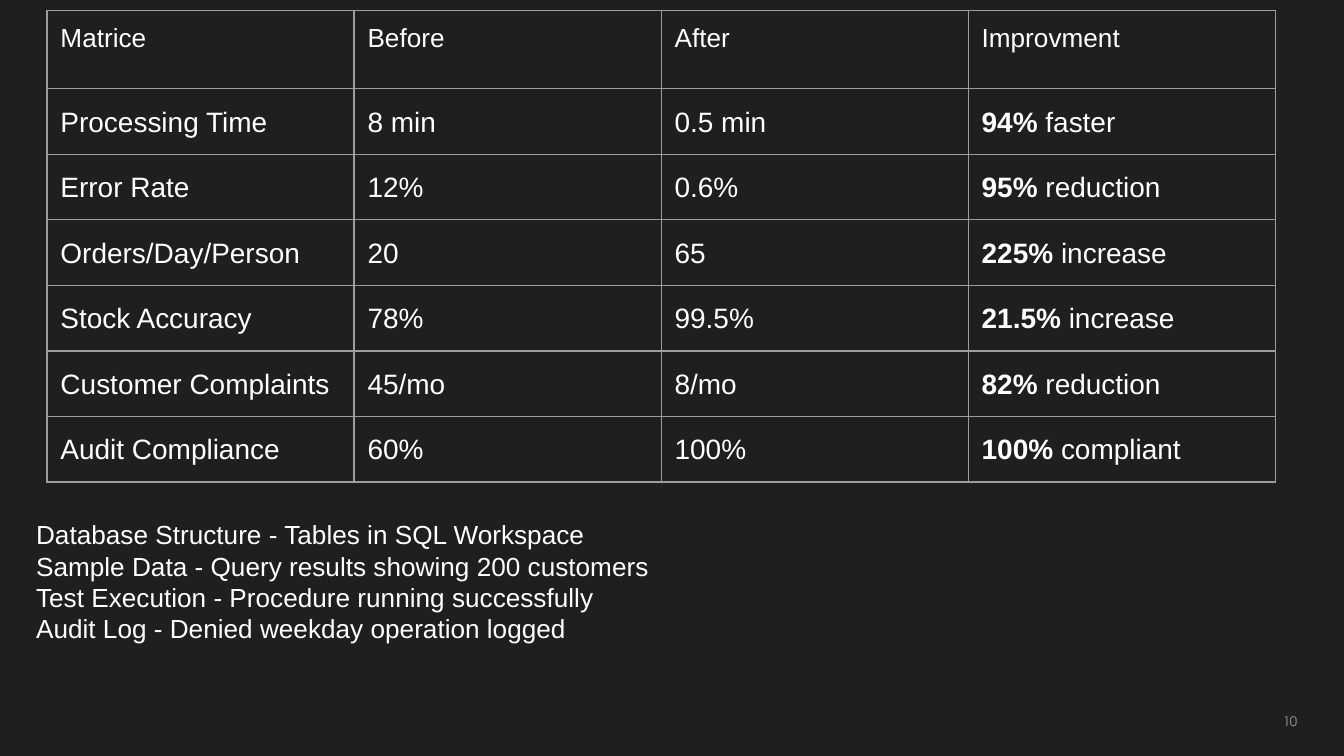
from lxml.etree import SubElement
from pptx import Presentation
from pptx.dml.color import RGBColor
from pptx.enum.text import PP_ALIGN
from pptx.oxml.ns import qn
from pptx.util import Inches, Pt


def style(paragraph, size, color="FFFFFF", name="Arial"):
    paragraph.font.size = Pt(size)
    paragraph.font.name = name
    paragraph.font.color.rgb = RGBColor.from_string(color)


def add_text(left, top, width, height, lines):
    box = slide.shapes.add_textbox(Inches(left), Inches(top), Inches(width), Inches(height))
    frame = box.text_frame
    frame.word_wrap = True
    frame.margin_left = frame.margin_right = Inches(0.1)
    frame.margin_top = frame.margin_bottom = Inches(0.1)
    frame.text = "\n".join(lines)
    return frame.paragraphs


presentation = Presentation()
presentation.slide_width = Inches(10)
presentation.slide_height = Inches(10 * 9 / 16)
slide = presentation.slides.add_slide(presentation.slide_layouts[6])
slide.background.fill.solid()
slide.background.fill.fore_color.rgb = RGBColor.from_string("1F1F1F")

page_number = add_text(7.35, 5.25, 2.4, 0.32, ["10"])[0]
page_number.alignment = PP_ALIGN.RIGHT
style(page_number, 7, "93A2A2", "TeX Gyre Adventor")

metrics = [
    ("Matrice", "Before", "After", "Improvment"),
    ("Processing Time", "8 min", "0.5 min", "94% faster"),
    ("Error Rate", "12%", "0.6%", "95% reduction"),
    ("Orders/Day/Person", "20", "65", "225% increase"),
    ("Stock Accuracy", "78%", "99.5%", "21.5% increase"),
    ("Customer Complaints", "45/mo", "8/mo", "82% reduction"),
    ("Audit Compliance", "60%", "100%", "100% compliant"),
]
table_width, header_height, row_height = 9.14, 0.58, 0.43
row_count, column_count = len(metrics), len(metrics[0])
table = slide.shapes.add_table(
    row_count, column_count, Inches(0.35), Inches(0.08),
    Inches(table_width), Inches(header_height + row_height * (row_count - 1)),
).table
table.first_row = False
table.horz_banding = False
for column in table.columns:
    column.width = Inches(table_width / column_count)

for row_index, values in enumerate(metrics):
    is_header = row_index == 0
    table.rows[row_index].height = Inches(header_height if is_header else row_height)
    for column_index, value in enumerate(values):
        cell = table.cell(row_index, column_index)
        cell.margin_left = cell.margin_right = Inches(0.1)
        cell.margin_top = cell.margin_bottom = Inches(0.1)
        paragraph = cell.text_frame.paragraphs[0]
        style(paragraph, 14 if is_header else 15)
        if not is_header:
            paragraph.line_spacing = 1.15
        if column_index == column_count - 1 and not is_header:
            figure, outcome = value.split()
            figure_run = paragraph.add_run()
            figure_run.text = figure + " "
            figure_run.font.bold = True
            paragraph.add_run().text = outcome
        else:
            paragraph.add_run().text = value
        properties = cell._tc.get_or_add_tcPr()
        for side in ("a:lnL", "a:lnR", "a:lnT", "a:lnB"):
            border = SubElement(properties, qn(side), w=str(Pt(0.75)))
            border_fill = SubElement(border, qn("a:solidFill"))
            SubElement(border_fill, qn("a:srgbClr"), val="9E9E9E")
        cell.fill.background()

evidence = [
    "Database Structure - Tables in SQL Workspace",
    "Sample Data - Query results showing 200 customers",
    "Test Execution - Procedure running successfully",
    "Audit Log - Denied weekday operation logged",
]
for paragraph in add_text(0.17, 3.76, 9.32, 1.14, evidence):
    style(paragraph, 14)

presentation.save("out.pptx")
